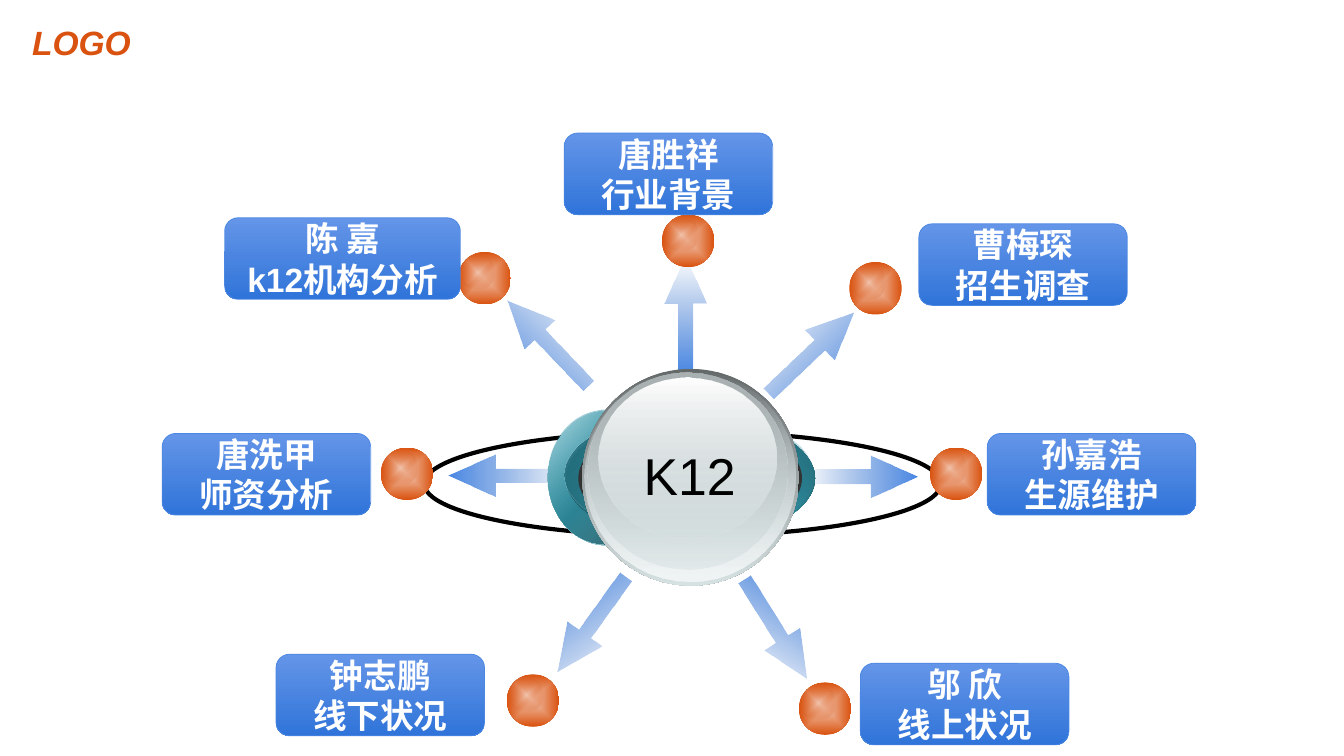
import pptx
import pptx.util
import pptx.dml.color
import pptx.enum.shapes
import pptx.enum.text
import pptx.oxml
import pptx.oxml.ns

RGB = pptx.dml.color.RGBColor
KIND = pptx.enum.shapes.MSO_SHAPE
ALIGN = pptx.enum.text.PP_ALIGN
ANCHOR = pptx.enum.text.MSO_ANCHOR

WHITE = RGB(0xFF, 0xFF, 0xFF)
BLACK = RGB(0x00, 0x00, 0x00)
COAL = RGB(0x33, 0x33, 0x33)
RUST = RGB(0xD9, 0x52, 0x0F)
PEACH = RGB(0xF2, 0xC5, 0xAE)
BLUE = RGB(0x49, 0x87, 0xE3)
DEEP = RGB(0x41, 0x78, 0xCA)
SKY = RGB(0x64, 0x95, 0xE8)
ROYAL = RGB(0x30, 0x74, 0xD9)
TEAL = RGB(0x36, 0xA1, 0xB6)
POND = RGB(0x22, 0x66, 0x74)
DARK = RGB(0x1D, 0x57, 0x62)
NIGHT = RGB(0x19, 0x4B, 0x54)
STEEL = RGB(0x63, 0x68, 0x69)
GREY = RGB(0xAA, 0xB2, 0xB3)
MIST = RGB(0xD6, 0xE1, 0xE2)
PALE = RGB(0xF1, 0xF5, 0xF5)

LATIN = "Arial"
HAN = "Noto Sans CJK SC"
PX = 9144
WIDE, HIGH = 1334, 750
BOX_H, BEAD, SHINE, ARROW_H = 81, 52, 33, 42

LOGO = ("LOGO", (22, 17, 167, 50))
HUB = ("K12", (629, 435, 111, 72))
ORBIT = (421, 428, 513, 104)

# name, role, box (x, y, w), bead (x, y), arrow (x, y, w, turn)
TEAM = [
    ("唐胜祥", "行业背景", (560, 132, 207), (657, 213), (623, 291, 115, 270)),
    ("曹梅琛", "招生调查", (912, 222, 207), (843, 260), (747, 329, 116, 316)),
    ("钟志鹏", "线下状况", (274, 649, 207), (503, 669), (529, 598, 116, 125.6)),
    ("孙嘉浩", "生源维护", (980, 430, 207), (923, 444), (796, 452, 115, 0)),
    ("邬 欣", "线上状况", (854, 658, 207), (793, 677), (712, 603, 116, 57.8)),
    ("唐洗甲", "师资分析", (161, 430, 207), (378, 444), (445, 451, 126, 180)),
    ("陈 嘉", "k12机构分析", (223, 216, 234), (455, 250), (486, 319, 116, 226.5)),
]

DISCS = [
    ((544, 408, 117, 133), 45, [(WHITE, 100), (TEAL, 100), (WHITE, 100)]),
    ((543, 406, 117, 134), 45, [(TEAL, 32), (NIGHT, 100)]),
    ((562, 413, 247, 123), 315, [(DARK, 100), (TEAL, 100), (DARK, 100)]),
    ((560, 409, 247, 123), 45, [(POND, 100), (TEAL, 0)]),
    ((574, 417, 222, 115), 0, [(COAL, 100), (COAL, 100)]),
    ((578, 366, 215, 215), 90, [(STEEL, 100), (MIST, 100)]),
    ((580, 368, 210, 209), 90, [(MIST, 0), (PALE, 100)]),
    ((583, 370, 199, 195), 90, [(GREY, 100), (MIST, 48)]),
    ((594, 375, 177, 159), 90, [(WHITE, 100), (MIST, 38)]),
]


def scale(area):
    return [pptx.util.Emu(n * PX) for n in area]


def shade(shape, stops, angle=None):
    last = len(stops) - 1
    marks = "".join(
        f'<a:gs pos="{100000 * i // last}"><a:srgbClr val="{tone}">'
        f'<a:alpha val="{alpha * 1000}"/></a:srgbClr></a:gs>'
        for i, (tone, alpha) in enumerate(stops))
    if angle is None:
        way = ('<a:path path="rect"><a:fillToRect l="50000" t="50000" '
               'r="50000" b="50000"/></a:path>')
    else:
        way = f'<a:lin ang="{round(angle * 60000)}" scaled="0"/>'
    grad = pptx.oxml.parse_xml(
        f'<a:gradFill {pptx.oxml.ns.nsdecls("a")} rotWithShape="0">'
        f'<a:gsLst>{marks}</a:gsLst>{way}</a:gradFill>')
    shape.element.spPr.find(pptx.oxml.ns.qn("a:prstGeom")).addnext(grad)


def draw(kind, area, stops=None, angle=None, line=None):
    shape = slide.shapes.add_shape(kind, *scale(area))
    shape.shadow.inherit = False
    if stops:
        shade(shape, stops, angle)
    else:
        shape.fill.background()
    if line:
        shape.line.color.rgb = line[0]
        shape.line.width = pptx.util.Pt(line[1])
    else:
        shape.line.fill.background()
    return shape


def write(para, text, size, tone, bold=False, slant=False):
    run = para.add_run()
    run.text = text
    font = run.font
    font.name, font.size = LATIN, pptx.util.Pt(size)
    font.bold, font.italic = bold, slant
    font.color.rgb = tone
    east = pptx.oxml.parse_xml(
        f'<a:ea {pptx.oxml.ns.nsdecls("a")} typeface="{HAN}"/>')
    run.font._element.find(pptx.oxml.ns.qn("a:latin")).addnext(east)


def label(area, text, size, tone, align, wrap, strong=False):
    frame = slide.shapes.add_textbox(*scale(area)).text_frame
    frame.word_wrap = wrap
    para = frame.paragraphs[0]
    para.alignment = align
    write(para, text, size, tone, strong, strong)


deck = pptx.Presentation()
deck.slide_width, deck.slide_height = scale((WIDE, HIGH))
slide = deck.slides.add_slide(deck.slide_layouts[6])

label(LOGO[1], LOGO[0], 24, RUST, ALIGN.LEFT, True, True)

for *_, (x, y, w, turn) in TEAM:
    arrow = draw(KIND.RIGHT_ARROW, (x, y, w, ARROW_H),
                 [(DEEP, 0), (BLUE, 100)], (360 - turn) % 360)
    arrow.adjustments[0], arrow.adjustments[1] = 0.35, 1.11
    arrow.rotation = turn

draw(KIND.OVAL, ORBIT, line=(BLACK, 3))

for _, _, _, (x, y), _ in TEAM:
    draw(KIND.OVAL, (x, y, BEAD, BEAD), [(PEACH, 100), (RUST, 100)])
    draw(KIND.OVAL, (x + 3, y + 4, SHINE, SHINE), [(PEACH, 100), (RUST, 0)])

for area, angle, stops in DISCS:
    draw(KIND.OVAL, area, stops, angle)
label(HUB[1], HUB[0], 37, BLACK, ALIGN.CENTER, False)

for name, role, (x, y, w), _, _ in TEAM:
    card = draw(KIND.ROUNDED_RECTANGLE, (x, y, w, BOX_H),
                [(SKY, 100), (ROYAL, 100)], 90, (BLUE, 0.5))
    frame = card.text_frame
    frame.word_wrap = True
    frame.vertical_anchor = ANCHOR.MIDDLE
    for para, text in ((frame.paragraphs[0], name), (frame.add_paragraph(), role)):
        para.alignment = ALIGN.CENTER
        write(para, text, 24, WHITE, True)

deck.save("out.pptx")
